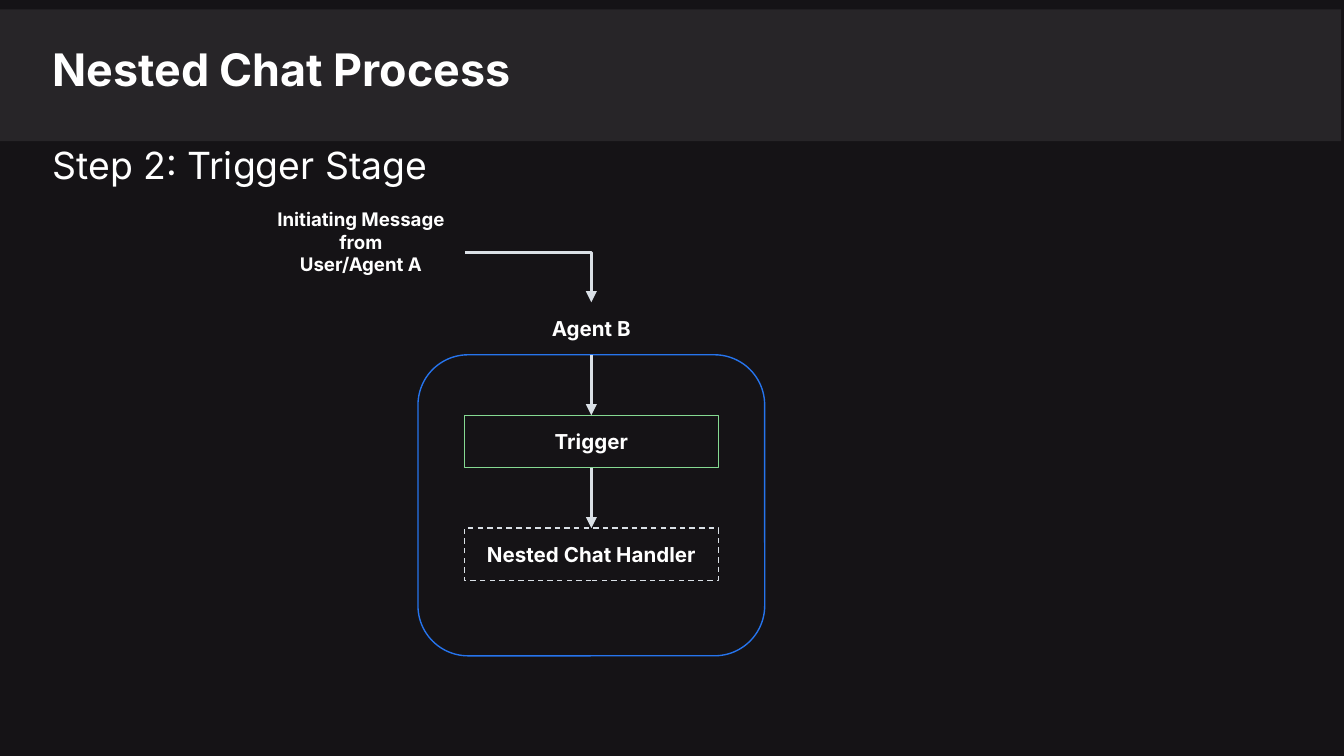
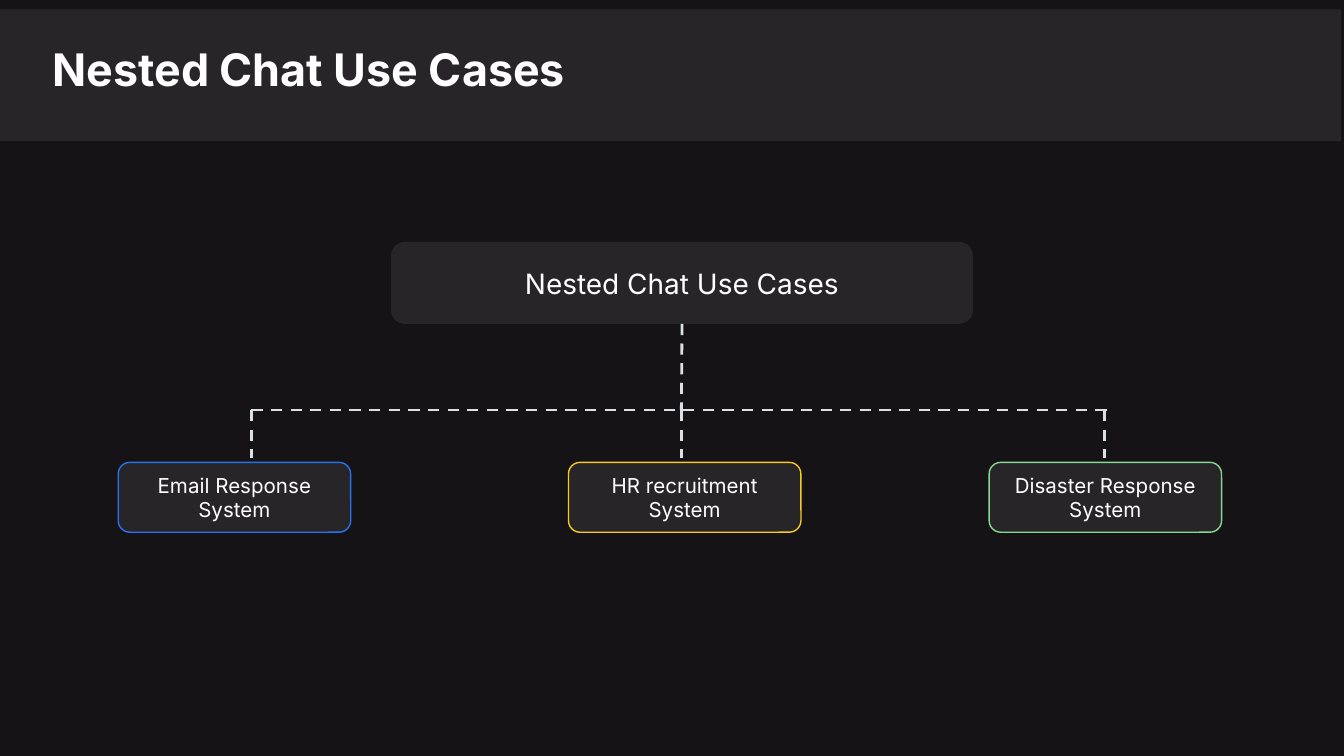
from pptx import Presentation
from pptx.dml.color import RGBColor
from pptx.enum.dml import MSO_LINE
from pptx.enum.shapes import MSO_CONNECTOR as Link, MSO_SHAPE as Form
from pptx.enum.text import MSO_ANCHOR as Anchor, MSO_AUTO_SIZE as Fit, PP_ALIGN as Align
from pptx.oxml.ns import qn
from pptx.util import Inches, Pt
from lxml import etree

HUES = {"back": "151316", "panel": "272528", "text": "FFFFFF", "line": "DAE0E6",
        "blue": "2674ED", "gold": "F9C823", "green": "85D992"}
TOP, LEFT, BOTTOM, RIGHT = 0, 1, 2, 3


def hue(name):
    return RGBColor.from_string(HUES[name])


def place(shape, box):
    shape.left, shape.top, shape.width, shape.height = map(Inches, box)


def write(shape, text, size=11, bold=False, align=Align.CENTER, anchor=Anchor.MIDDLE,
          after=0, inset=(0.1, 0.1)):
    """Fill a shape with text; inset holds the top and bottom margins."""
    frame = shape.text_frame
    frame.text = text
    frame.word_wrap = True
    frame.auto_size = Fit.NONE
    frame.vertical_anchor = anchor
    frame.margin_left = frame.margin_right = Inches(0.1)
    frame.margin_top, frame.margin_bottom = map(Inches, inset)
    for para in frame.paragraphs:
        para.alignment = align
        para.space_before, para.space_after = Pt(0), Pt(after)
        font = para.font
        font.name, font.size, font.bold = "Inter", Pt(size), bold
        font.color.rgb = hue("text")


class Deck:
    def __init__(self):
        self.prs = Presentation()
        self.prs.slide_width = Inches(10)
        self.prs.slide_height = Inches(10) * 9 // 16

    def start(self, title, lead=None):
        """Open a slide with its band, title and optional lead line."""
        layout = self.prs.slide_layouts[1 if lead else 5]
        self.slide = self.prs.slides.add_slide(layout)
        fill = self.slide.background.fill
        fill.solid()
        fill.fore_color.rgb = hue("back")
        band = self.box((0, 0.07, 9.98, 0.98), fill="panel")
        self.slide.shapes._spTree.insert(2, band._element)
        head = self.slide.shapes.title
        place(head, (0.29, 0.21, 8.74, 0.58))
        write(head, title, size=24, bold=True, align=Align.LEFT, anchor=Anchor.TOP)
        if lead:
            body = self.slide.placeholders[1]
            place(body, (0.29, 0.96, 8.74, 0.58))
            write(body, lead, size=20, align=Align.LEFT, anchor=Anchor.TOP, after=10)
            props = body.text_frame.paragraphs[0]._p.get_or_add_pPr()
            props.set("marL", "0")
            props.set("indent", "0")
            mark = etree.Element(qn("a:buNone"))
            props.insert_element_before(mark, "a:tabLst", "a:defRPr", "a:extLst")

    def box(self, at, text=None, form=Form.RECTANGLE, fill=None, line=None,
            dash=False, **style):
        shape = self.slide.shapes.add_shape(form, *map(Inches, at))
        shape.shadow.inherit = False
        if fill:
            shape.fill.solid()
            shape.fill.fore_color.rgb = hue(fill)
        else:
            shape.fill.background()
        if line:
            self.stroke(shape.line, line, 0.75, dash)
        else:
            shape.line.fill.background()
        if text:
            write(shape, text, **style)
        return shape

    def label(self, at, text, **style):
        shape = self.slide.shapes.add_textbox(*map(Inches, at))
        write(shape, text, **style)
        return shape

    def stroke(self, line, color, width, dash):
        line.color.rgb = hue(color)
        line.width = Pt(width)
        if dash:
            line.dash_style = MSO_LINE.DASH

    def link(self, start, end, kind=Link.STRAIGHT, dash=False, arrow=False,
             tail=None, head=None):
        """Draw a line; tail and head are (shape, side) pairs to join."""
        wire = self.slide.shapes.add_connector(kind, *map(Inches, start + end))
        self.stroke(wire.line, "line", 1.5, dash)
        if tail:
            wire.begin_connect(*tail)
        if head:
            wire.end_connect(*head)
        props = wire._element.spPr
        if kind == Link.ELBOW:
            props.find(qn("a:prstGeom")).set("prst", "bentConnector2")
        if arrow:
            etree.SubElement(props.find(qn("a:ln")), qn("a:tailEnd"), type="triangle")
        etree.SubElement(props, qn("a:effectLst"))


def process(deck):
    deck.start("Nested Chat Process", lead="Step 2: Trigger Stage")
    mid = 4.4
    style = {"bold": True, "anchor": Anchor.TOP}

    def spot(top, width, height=0.39):
        return mid - width / 2, top, width, height

    agent = deck.label(spot(2.25, 3.28), "Agent B", **style)
    source = deck.box((1.91, 1.49, 1.55, 0.78), "Initiating Message from\nUser/Agent A",
                      form=Form.ROUNDED_RECTANGLE, size=10, bold=True, inset=(0, 0.16))
    deck.box(spot(2.64, 2.58, 2.24), form=Form.ROUNDED_RECTANGLE, line="blue")
    trigger = deck.box(spot(3.09, 1.89), "Trigger", line="green", **style)
    handler = deck.box(spot(3.93, 1.89), "Nested Chat Handler", line="line",
                       dash=True, **style)
    deck.link((3.46, 1.88), (mid, 2.25), kind=Link.ELBOW, arrow=True,
              tail=(source, RIGHT), head=(agent, TOP))
    deck.link((mid, 2.64), (mid, 3.09), arrow=True,
              tail=(agent, BOTTOM), head=(trigger, TOP))
    deck.link((mid, 3.48), (mid, 3.93), arrow=True,
              tail=(trigger, BOTTOM), head=(handler, TOP))


def cases(deck):
    title = "Nested Chat Use Cases"
    deck.start(title)
    rail, mid = 3.05, 5.07
    root = deck.box((2.91, 1.8, 4.33, 0.61), title, form=Form.ROUNDED_RECTANGLE,
                    fill="panel", size=15)
    deck.link((mid, 2.41), (mid, rail), dash=True, tail=(root, BOTTOM))
    deck.link((1.87, rail), (8.28, rail), dash=True)
    leaves = [("Email Response System", "blue", 0.88, 1.87),
              ("HR recruitment System", "gold", 4.23, mid),
              ("Disaster Response System", "green", 7.36, 8.22)]
    for text, color, left, drop in leaves:
        deck.link((drop, rail), (drop, 3.41), dash=True)
        deck.box((left, 3.44, 1.73, 0.52), text, form=Form.ROUNDED_RECTANGLE,
                 fill="panel", line=color)


def main():
    deck = Deck()
    process(deck)
    cases(deck)
    deck.prs.save("out.pptx")


if __name__ == "__main__":
    main()
